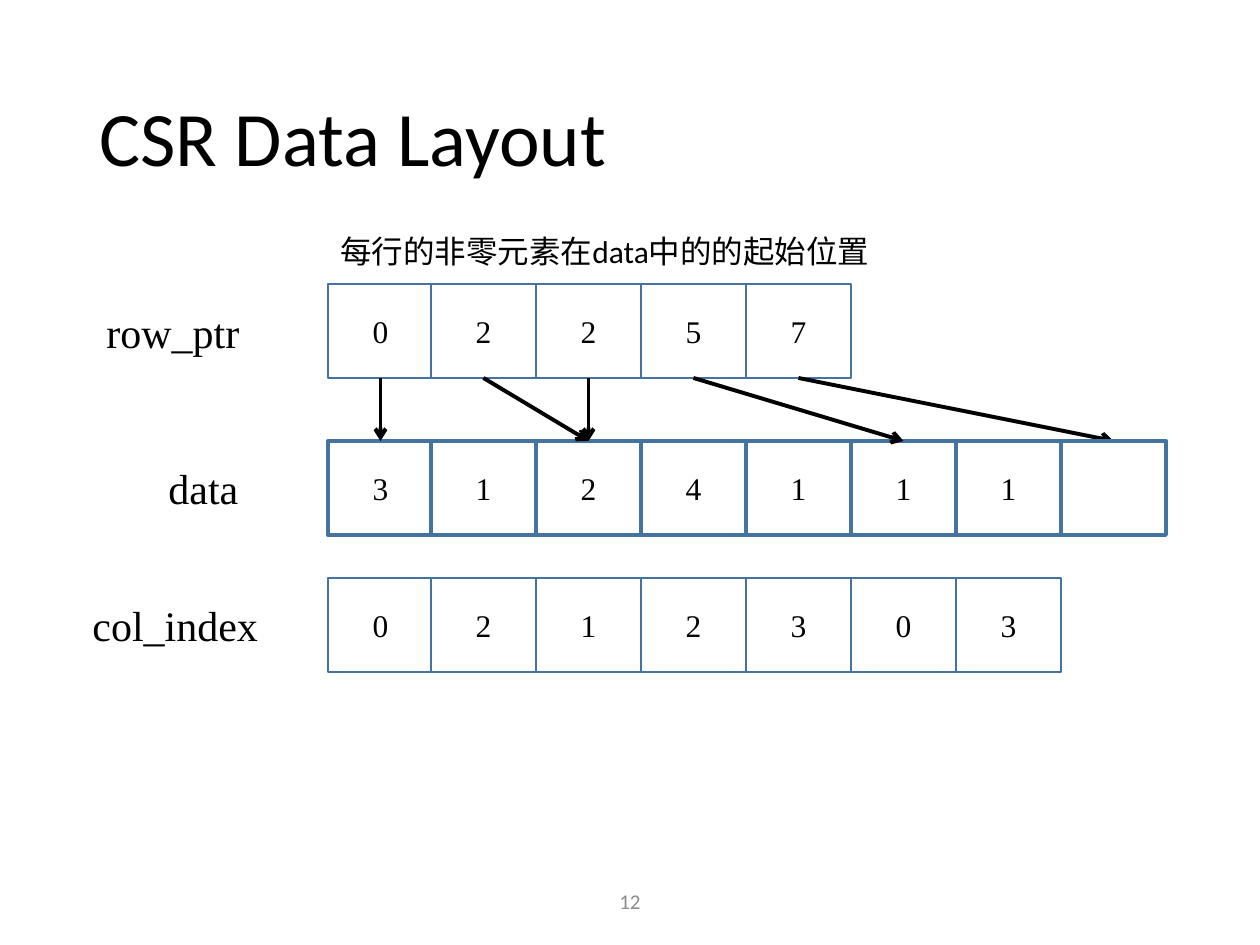
import pptx
import pptx.dml.color
import pptx.enum.shapes
import pptx.enum.text
import pptx.oxml.ns
import pptx.util
from lxml import etree

EMU_PER_PX = 914400 // 126
SERIF, SANS = "Times New Roman", "Calibri"
BLACK, WHITE, GREY, BLUE = "000000", "FFFFFF", "8C8C8C", "43739E"
LEFT = pptx.enum.text.PP_ALIGN.LEFT
CENTER = pptx.enum.text.PP_ALIGN.CENTER
TOP = pptx.enum.text.MSO_ANCHOR.TOP
MIDDLE = pptx.enum.text.MSO_ANCHOR.MIDDLE

CELL_WIDTH, CELL_HEIGHT = 105, 94
GRID_LEFT, FIRST_CELL_LEFT = 326, 328

# name: (top, line width, values)
ARRAYS = {
    "data": (441, 2.25, ["3", "1", "2", "4", "1", "1", "1", ""]),
    "col_index": (578, 1, ["0", "2", "1", "2", "3", "0", "3"]),
    "row_ptr": (284, 1, ["0", "2", "2", "5", "7"]),
}
# text, left, top, width, height
LABELS = [
    ("data", 156, 456, 96, 63),
    ("row_ptr", 94, 300, 164, 63),
    ("col_index", 80, 593, 193, 63),
]


def px(length):
    return pptx.util.Emu(length * EMU_PER_PX)


def color(value):
    return pptx.dml.color.RGBColor.from_string(value)


def write(shape, text, size, font, ink=BLACK, align=LEFT, anchor=TOP):
    frame = shape.text_frame
    frame.vertical_anchor = anchor
    paragraph = frame.paragraphs[0]
    paragraph.alignment = align
    run = paragraph.add_run()
    run.text = text
    run.font.size = pptx.util.Pt(size)
    run.font.name = font
    run.font.color.rgb = color(ink)
    return paragraph


def add_text(slide, box, text, size, font, wrap=True, **style):
    shape = slide.shapes.add_textbox(*map(px, box))
    shape.text_frame.word_wrap = wrap
    return write(shape, text, size, font, **style)


def add_cell(slide, column, top, value, line_width):
    left = max(FIRST_CELL_LEFT, GRID_LEFT + column * CELL_WIDTH)
    cell = slide.shapes.add_shape(
        pptx.enum.shapes.MSO_SHAPE.RECTANGLE,
        px(left), px(top), px(CELL_WIDTH), px(CELL_HEIGHT))
    cell.shadow.inherit = False
    cell.fill.solid()
    cell.fill.fore_color.rgb = color(WHITE)
    cell.line.color.rgb = color(BLUE)
    cell.line.width = pptx.util.Pt(line_width)
    if value:
        write(cell, value, 18, SERIF, align=CENTER, anchor=MIDDLE)
    return cell


def add_arrow(slide, source, target):
    """Join the bottom of source to the top of target."""
    arrow = slide.shapes.add_connector(
        pptx.enum.shapes.MSO_CONNECTOR.STRAIGHT, 0, 0, 0, 0)
    arrow.begin_connect(source, 2)
    arrow.end_connect(target, 0)
    arrow.line.color.rgb = color(BLACK)
    arrow.line.width = pptx.util.Pt(2.25)
    qn = pptx.oxml.ns.qn
    line = arrow.line._get_or_add_ln()
    etree.SubElement(line, qn("a:tailEnd"), type="arrow")
    etree.SubElement(arrow._element.spPr, qn("a:effectLst"))


def main():
    presentation = pptx.Presentation()
    presentation.slide_width, presentation.slide_height = px(1260), px(945)
    slide = presentation.slides.add_slide(presentation.slide_layouts[6])

    cells = {
        name: [add_cell(slide, column, top, value, line_width)
               for column, value in enumerate(values)]
        for name, (top, line_width, values) in ARRAYS.items()
    }
    for pointer, value in zip(cells["row_ptr"], ARRAYS["row_ptr"][2]):
        add_arrow(slide, pointer, cells["data"][int(value)])
    # The empty end cell lies over the last arrowhead.
    slide.shapes._spTree.append(cells["data"][-1]._element)

    for text, *box in LABELS:
        add_text(slide, box, text, 24, SERIF, wrap=False)
    title = add_text(slide, (87, 50, 1086, 183), "CSR Data Layout", 44, SANS,
                     anchor=MIDDLE)
    title.line_spacing = 0.9
    add_text(slide, (417, 876, 426, 50), "12", 12, SANS,
             ink=GREY, align=CENTER, anchor=MIDDLE)
    add_text(slide, (328, 226, 593, 50), "每行的非零元素在data中的的起始位置",
             18, SANS)
    presentation.save("out.pptx")


if __name__ == "__main__":
    main()
